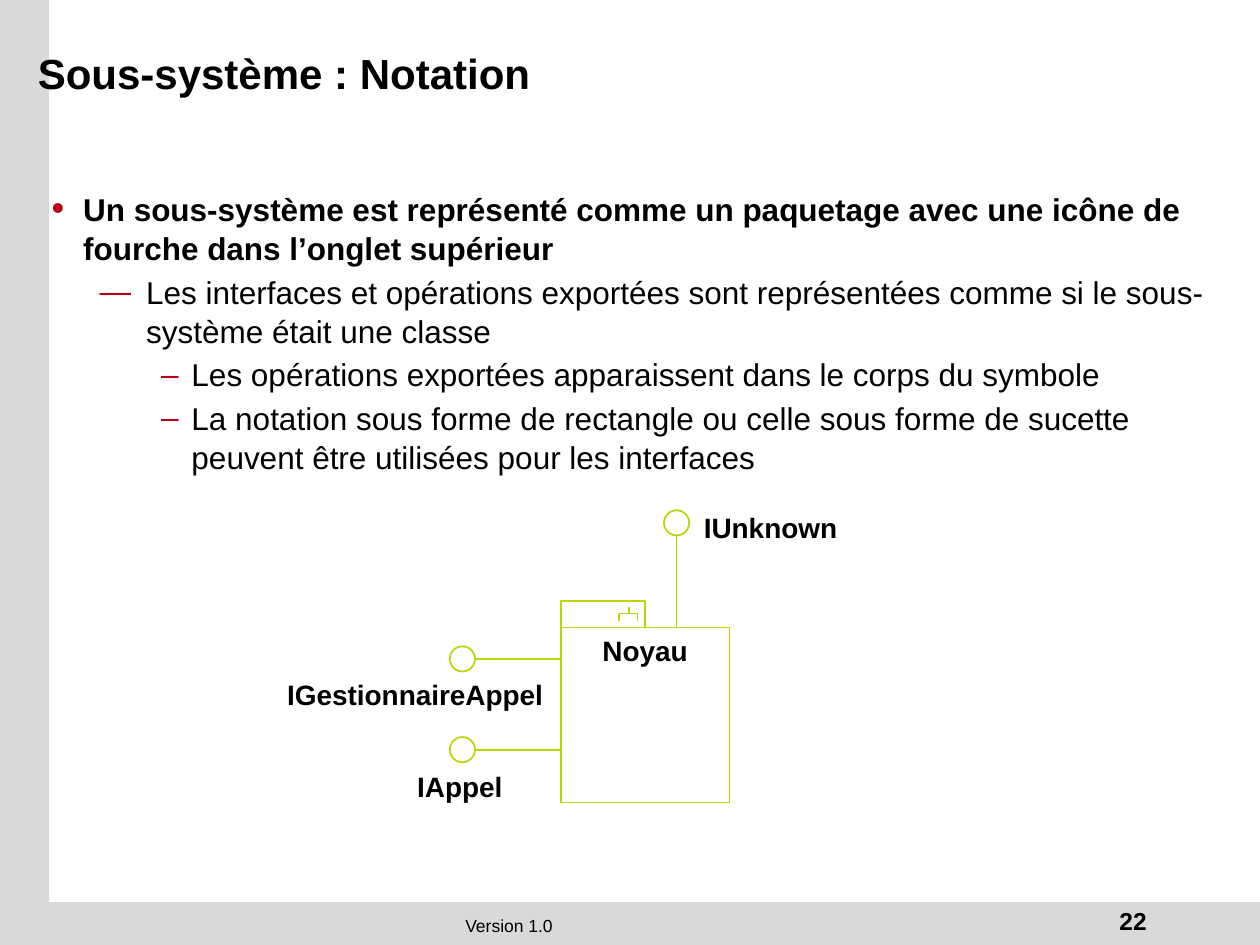
from lxml import etree
from pptx import Presentation
from pptx.dml.color import RGBColor
from pptx.enum.shapes import MSO_CONNECTOR, MSO_SHAPE
from pptx.enum.text import MSO_ANCHOR, MSO_AUTO_SIZE, PP_ALIGN
from pptx.oxml.ns import qn
from pptx.util import Inches, Pt

RECT, OVAL = MSO_SHAPE.RECTANGLE, MSO_SHAPE.OVAL
LINE = MSO_CONNECTOR.STRAIGHT
LEFT, MID, RIGHT = PP_ALIGN.LEFT, PP_ALIGN.CENTER, PP_ALIGN.RIGHT
TOP, CENTER = MSO_ANCHOR.TOP, MSO_ANCHOR.MIDDLE
HUES = {"band": "D9D9D9", "line": "BCD507", "fill": "FFFFFF",
        "text": "000000", "mark": "B90117"}

TITLE = "Sous-système : Notation"
# level, text
POINTS = [
    (0, "Un sous-système est représenté comme un paquetage avec une icône de "
        "fourche dans l’onglet supérieur"),
    (1, "Les interfaces et opérations exportées sont représentées comme si le "
        "sous-système était une classe"),
    (2, "Les opérations exportées apparaissent dans le corps du symbole"),
    (2, "La notation sous forme de rectangle ou celle sous forme de sucette "
        "peuvent être utilisées pour les interfaces"),
]
# margin, hanging indent, bullet, bullet size in percent, space before, bold
LEVELS = [
    (0.25, 0.25, "•", 115, 0, True),
    (0.75, 0.37, "—", 100, 2, False),
    (1.11, 0.24, "–", 100, 2, False),
]
BANDS = [(0, 0, 0.39, 7.5), (0, 7.16, 10, 0.34)]
# text, box, size, bold, alignment
FOOTERS = [
    ("Version 1.0", (0.11, 7.21, 7.86, 0.27), 10, False, MID),
    ("22", (7.62, 7.14, 1.58, 0.33), 14, True, RIGHT),
]
BODY = (4.45, 4.98, 1.34, 1.39)
TAB = (4.45, 4.77, 0.67, 0.21)
BALL = 0.2
# name, ball centre, line end at the package, label box
FACES = [
    ("IUnknown", (5.37, 4.15), (5.37, BODY[1]), (5.37, 4, 1.49, 0.31)),
    ("IGestionnaireAppel", (3.67, 5.23), (BODY[0], 5.23),
     (2.17, 5.33, 2.25, 0.36)),
    ("IAppel", (3.67, 5.95), (BODY[0], 5.95), (2.75, 6.06, 1.8, 0.36)),
]
FORK = [
    ((5.06, 4.93), (5.06, 4.87)),
    ((4.91, 4.93), (4.91, 4.87)),
    ((4.99, 4.87), (4.99, 4.82)),
    ((5.06, 4.87), (4.91, 4.87)),
]


def rgb(name):
    return RGBColor.from_string(HUES[name])


def inches(vals):
    return [Inches(v) for v in vals]


def write(para, text, size, bold=True, align=LEFT):
    para.alignment = align
    run = para.add_run()
    run.text = text
    look = {"name": "Arial", "size": Pt(size), "bold": bold}
    for key, val in look.items():
        setattr(run.font, key, val)
    run.font.color.rgb = rgb("text")


def frame(shape, anchor=TOP):
    form = {"word_wrap": True, "auto_size": MSO_AUTO_SIZE.NONE,
            "vertical_anchor": anchor}
    for key, val in form.items():
        setattr(shape.text_frame, key, val)
    return shape.text_frame


def place(shape, box):
    for key, val in zip(("left", "top", "width", "height"), inches(box)):
        setattr(shape, key, val)


def draw(shapes, kind, box, fill="fill", line="line"):
    shape = shapes.add_shape(kind, *inches(box))
    shape.shadow.inherit = False
    shape.fill.solid()
    shape.fill.fore_color.rgb = rgb(fill)
    if line:
        shape.line.color.rgb = rgb(line)
        shape.line.width = Pt(1)
    else:
        shape.line.fill.background()
    return shape


def link(shapes, start, end):
    line = shapes.add_connector(LINE, *inches(start + end))
    line.line.color.rgb = rgb("line")
    line.line.width = Pt(1)
    etree.SubElement(line._element.spPr, qn("a:effectLst"))


def label(shapes, text, box, size=16, bold=True, align=MID):
    shape = shapes.add_textbox(*inches(box))
    write(frame(shape).paragraphs[0], text, size, bold, align)


def bullet(para, left, hang, mark, size):
    props = para._p.get_or_add_pPr()
    props.set("marL", str(Inches(left)))
    props.set("indent", str(-Inches(hang)))
    color = etree.SubElement(props, qn("a:buClr"))
    etree.SubElement(color, qn("a:srgbClr"), val=HUES["mark"])
    etree.SubElement(props, qn("a:buSzPct"), val=str(size * 1000))
    etree.SubElement(props, qn("a:buFont"), typeface="Arial")
    etree.SubElement(props, qn("a:buChar"), char=mark)


def main():
    deck = Presentation()
    deck.slide_width, deck.slide_height = inches((10, 7.5))
    slide = deck.slides.add_slide(deck.slide_layouts[1])
    shapes = slide.shapes

    for box in BANDS:
        band = draw(shapes, RECT, box, "band", None)
        shapes._spTree.insert(2 + BANDS.index(box), band._element)
    for foot in FOOTERS:
        label(shapes, *foot)

    place(shapes.title, (0.2, 0.18, 8.52, 0.79))
    write(frame(shapes.title, CENTER).paragraphs[0], TITLE, 24)

    body = slide.placeholders[1]
    place(body, (0.31, 1.44, 9.4, 2.29))
    text = frame(body)
    for num, (level, words) in enumerate(POINTS):
        para = text.add_paragraph() if num else text.paragraphs[0]
        left, hang, mark, size, space, bold = LEVELS[level]
        bullet(para, left, hang, mark, size)
        para.level = level
        para.line_spacing = 1.05
        para.space_before = Pt(space)
        write(para, words, 18, bold)

    pack = shapes.add_group_shape().shapes
    core = draw(pack, RECT, BODY)
    write(frame(core).paragraphs[0], "Noyau", 16, align=MID)
    draw(pack, RECT, TAB)

    half = BALL / 2
    for name, (x, y), end, box in FACES:
        draw(shapes, OVAL, (x - half, y - half, BALL, BALL))
        start = (x, y + half) if x == end[0] else (x + half, y)
        link(shapes, start, end)
        label(shapes, name, box)

    fork = shapes.add_group_shape().shapes
    for start, end in FORK:
        link(fork, start, end)

    deck.save("out.pptx")


if __name__ == "__main__":
    main()
